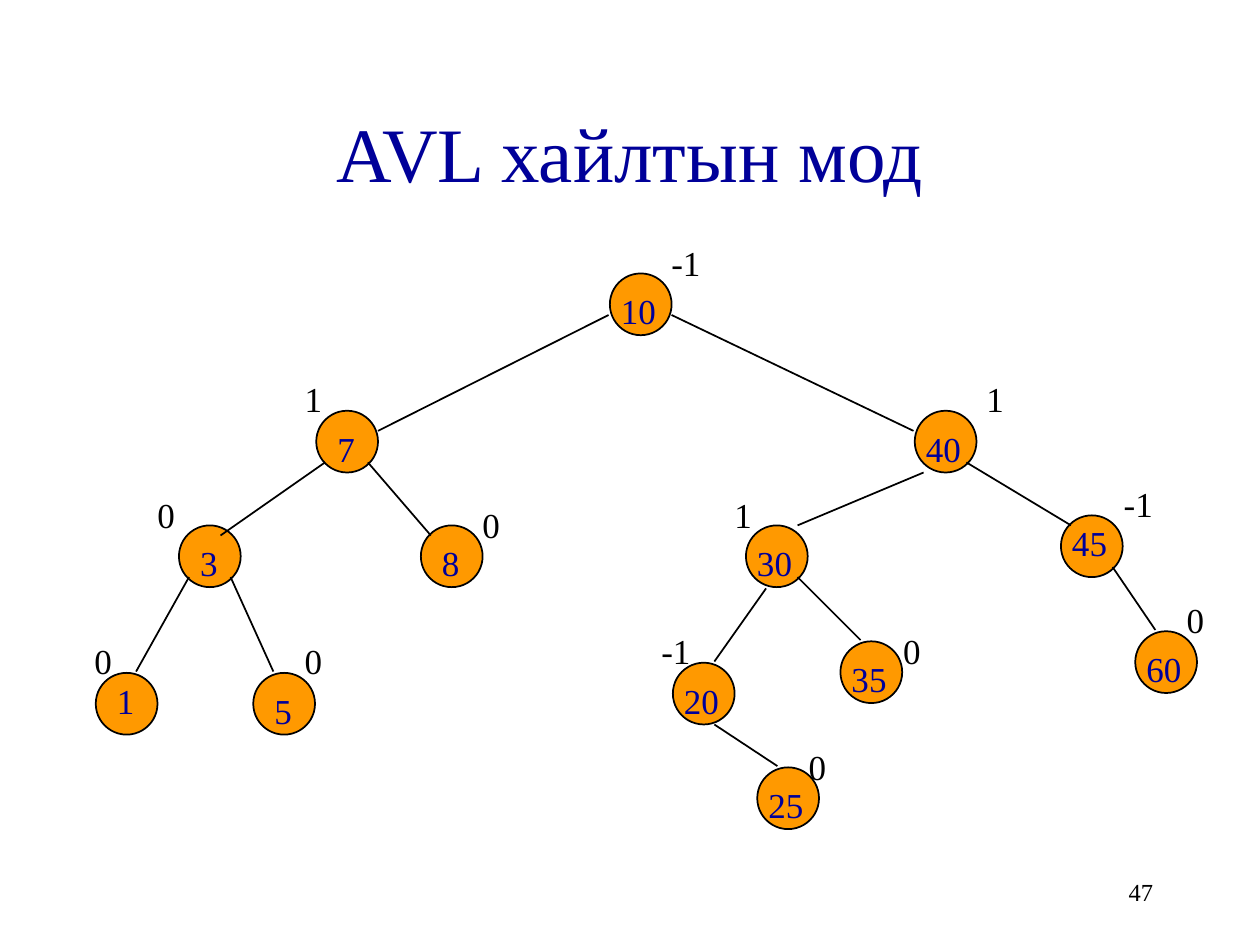
from lxml.etree import SubElement
from pptx import Presentation
from pptx.dml.color import RGBColor
from pptx.enum.shapes import MSO_CONNECTOR, MSO_SHAPE
from pptx.enum.text import MSO_ANCHOR, PP_ALIGN
from pptx.oxml.ns import qn
from pptx.util import Inches, Pt

NAVY, ORANGE, BLACK = "000099", "FF9900", "000000"
DIAMETER = 0.49


def rgb(value):
    return RGBColor.from_string(value)


def add_text(text, x, y, w, h, size=20, color=BLACK, align=PP_ALIGN.LEFT,
             anchor=MSO_ANCHOR.TOP, wrap=True, before=0):
    tf = slide.shapes.add_textbox(Inches(x), Inches(y), Inches(w), Inches(h)).text_frame
    tf.word_wrap = wrap
    tf.vertical_anchor = anchor
    p = tf.paragraphs[0]
    p.alignment = align
    p.space_before = Pt(before)
    r = p.add_run()
    r.text = text
    r.font.name = "Times New Roman"
    r.font.size = Pt(size)
    r.font.color.rgb = rgb(color)


prs = Presentation()
prs.slide_width, prs.slide_height = Inches(10), Inches(7.5)
slide = prs.slides.add_slide(prs.slide_layouts[6])

# Title
add_text("AVL хайлтын мод", 0.75, 0.58, 8.5, 1.25, size=44, color=NAVY,
         align=PP_ALIGN.CENTER, anchor=MSO_ANCHOR.MIDDLE)

# Nodes: key, left, top, key offset down, balance factor, balance left, balance top
nodes = [
    ("10", 4.84, 2.17, 0.08, "-1", 5.23, 1.87),
    ("7", 2.51, 3.26, 0.08, "1", 2.32, 2.95),
    ("40", 7.26, 3.26, 0.08, "1", 7.73, 2.95),
    ("3", 1.42, 4.17, 0.08, "0", 1.15, 3.87),
    ("8", 3.34, 4.17, 0.08, "0", 3.73, 3.95),
    ("30", 5.92, 4.17, 0.08, "1", 5.73, 3.87),
    ("45", 8.42, 4.09, 0, "-1", 8.82, 3.78),
    ("1", 0.76, 5.34, 0, "0", 0.65, 5.03),
    ("5", 2.01, 5.34, 0.08, "0", 2.32, 5.03),
    ("20", 5.34, 5.26, 0.08, "-1", 5.15, 4.95),
    ("35", 6.67, 5.09, 0.08, "0", 7.07, 4.95),
    ("60", 9.01, 5.01, 0.08, "0", 9.32, 4.70),
    ("25", 6.01, 6.09, 0.08, "0", 6.32, 5.87),
]

# Circles
for key, x, y, *_ in nodes:
    sp = slide.shapes.add_shape(MSO_SHAPE.OVAL, Inches(x), Inches(y),
                                Inches(DIAMETER), Inches(DIAMETER))
    sp.shadow.inherit = False
    sp.fill.solid()
    sp.fill.fore_color.rgb = rgb(ORANGE)
    sp.line.color.rgb = rgb(BLACK)
    sp.line.width = Pt(1)

# Edges from parent to child
edges = [
    (4.83, 2.5, 3, 3.42), (5.33, 2.5, 7.25, 3.42),
    (2.58, 3.67, 1.75, 4.25), (2.92, 3.67, 3.42, 4.25),
    (7.33, 3.75, 6.33, 4.17), (7.67, 3.67, 8.5, 4.17),
    (1.5, 4.58, 1.08, 5.33), (1.83, 4.58, 2.17, 5.33),
    (6.08, 4.67, 5.67, 5.25), (6.33, 4.58, 6.83, 5.08),
    (8.83, 4.5, 9.17, 5), (5.67, 5.75, 6.17, 6.08),
]
for edge in edges:
    line = slide.shapes.add_connector(MSO_CONNECTOR.STRAIGHT, *map(Inches, edge))
    line.line.color.rgb = rgb(BLACK)
    line.line.width = Pt(1)
    SubElement(line._element.spPr, qn("a:effectLst"))

# Keys and balance factors
for key, x, y, drop, balance, bx, by in nodes:
    key_x = x + 0.07 if len(key) == 1 else x - 0.01
    add_text(key, key_x, y + drop, 0.5, 0.43, color=NAVY, before=12.5)
    add_text(balance, bx, by, 0.34 if len(balance) == 1 else 0.43, 0.43, wrap=False)

# Slide number
add_text("47", 7.17, 6.83, 2.08, 0.5, size=14, align=PP_ALIGN.RIGHT,
         anchor=MSO_ANCHOR.MIDDLE)

prs.save("out.pptx")
